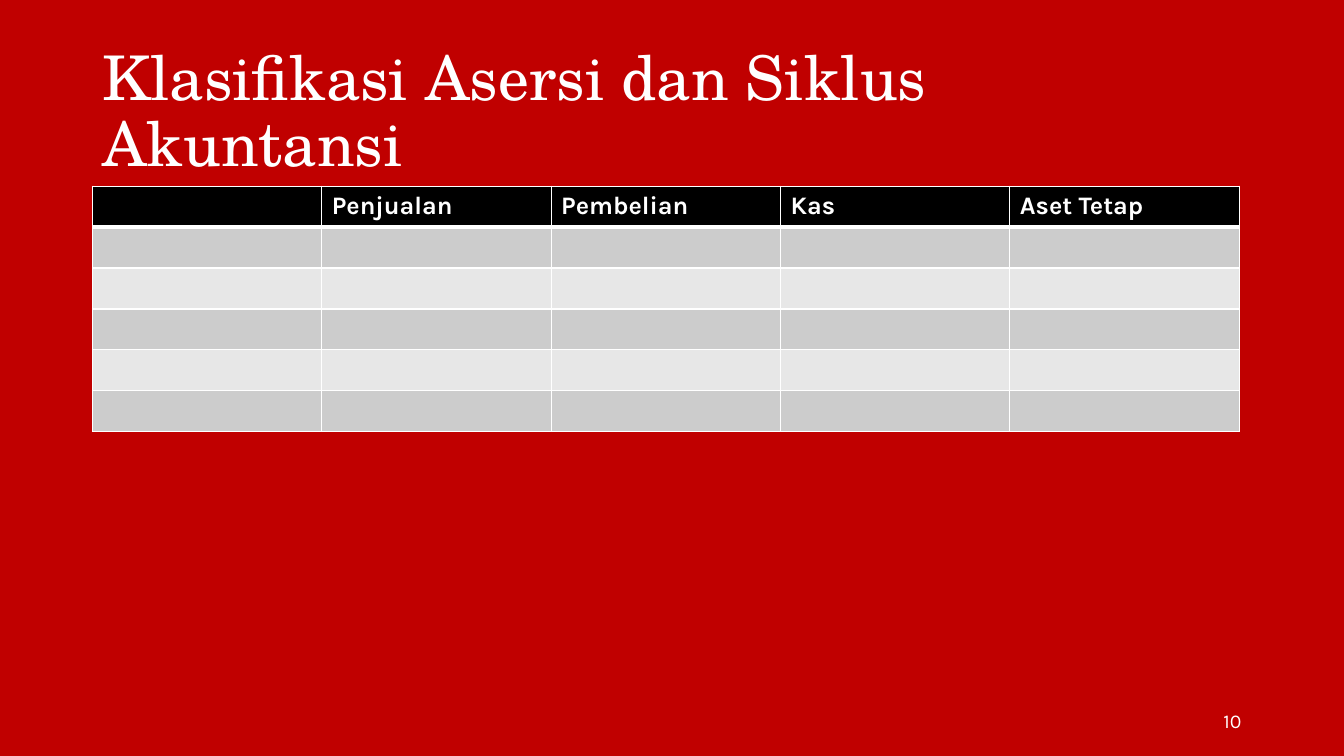
from lxml.etree import SubElement
from pptx import Presentation
from pptx.dml.color import RGBColor
from pptx.enum.text import MSO_ANCHOR as Anchor, PP_ALIGN as Align
from pptx.oxml.ns import qn
from pptx.util import Pt

RED = RGBColor(0xC0, 0x00, 0x00)
WHITE = RGBColor(0xFF, 0xFF, 0xFF)
BLACK = RGBColor(0x00, 0x00, 0x00)
DARK_BAND = RGBColor(0xCC, 0xCC, 0xCC)
LIGHT_BAND = RGBColor(0xE7, 0xE7, 0xE7)

CYCLES = ["", "Penjualan", "Pembelian", "Kas", "Aset Tetap"]
BLANK_ROWS = 5


class SlideBuilder:
    heading_font = "TeX Gyre Schola"
    body_font = "Karla"

    def __init__(self, page):
        self.page = page
        fill = page.background.fill
        fill.solid()
        fill.fore_color.rgb = RED

    def style(self, para, size, font, bold=False):
        for span in para.runs:
            span.font.size = Pt(size)
            span.font.name = font
            span.font.bold = bold
            span.font.color.rgb = WHITE

    def place(self, shape, left, top, width, height):
        shape.left, shape.top = Pt(left), Pt(top)
        shape.width, shape.height = Pt(width), Pt(height)

    def title(self, text, *area):
        box = self.page.shapes.title
        self.place(box, *area)
        frame = box.text_frame
        frame.text = text
        frame.word_wrap = True
        frame.vertical_anchor = Anchor.MIDDLE
        para = frame.paragraphs[0]
        para.alignment = Align.LEFT
        para.line_spacing = 0.9
        self.style(para, 44, self.heading_font)

    def page_number(self, text, left, top, width, height):
        box = self.page.shapes.add_textbox(Pt(left), Pt(top), Pt(width), Pt(height))
        frame = box.text_frame
        frame.text = text
        frame.word_wrap = True
        frame.vertical_anchor = Anchor.MIDDLE
        para = frame.paragraphs[0]
        para.alignment = Align.RIGHT
        self.style(para, 14, self.body_font)

    def border(self, cell, top, bottom):
        """Draw white cell edges; top and bottom are widths in points."""
        properties = cell._tc.get_or_add_tcPr()
        edges = {"a:lnL": 1, "a:lnR": 1, "a:lnT": top, "a:lnB": bottom}
        for tag, width in edges.items():
            line = SubElement(properties, qn(tag), w=str(Pt(width)))
            solid = SubElement(line, qn("a:solidFill"))
            SubElement(solid, qn("a:srgbClr"), val=str(WHITE))

    def table(self, headings, blank_rows, left, top, column_width, row_height):
        rows, columns = blank_rows + 1, len(headings)
        table = self.page.shapes.add_table(
            rows, columns, Pt(left), Pt(top),
            Pt(column_width * columns), Pt(row_height * rows)).table
        for column in table.columns:
            column.width = Pt(column_width)
        for index, row in enumerate(table.rows):
            row.height = Pt(row_height)
            band = DARK_BAND if index % 2 else LIGHT_BAND
            for cell in row.cells:
                self.border(cell, 3 if index == 1 else 1, 3 if index == 0 else 1)
                cell.fill.solid()
                cell.fill.fore_color.rgb = band if index else BLACK
        for cell, heading in zip(table.rows[0].cells, headings):
            if heading:
                cell.text_frame.text = heading
                self.style(cell.text_frame.paragraphs[0], 18, self.body_font, bold=True)


def main():
    deck = Presentation()
    deck.slide_width, deck.slide_height = Pt(960), Pt(540)
    title_only = deck.slide_layouts[5]
    builder = SlideBuilder(deck.slides.add_slide(title_only))
    builder.title("Klasifikasi Asersi dan Siklus Akuntansi", 66, 28.75, 828, 104.4)
    builder.page_number("10", 678, 500.5, 216, 28.75)
    builder.table(CYCLES, BLANK_ROWS, 66, 133.1, 163.87, 29.2)
    deck.save("out.pptx")


if __name__ == "__main__":
    main()
